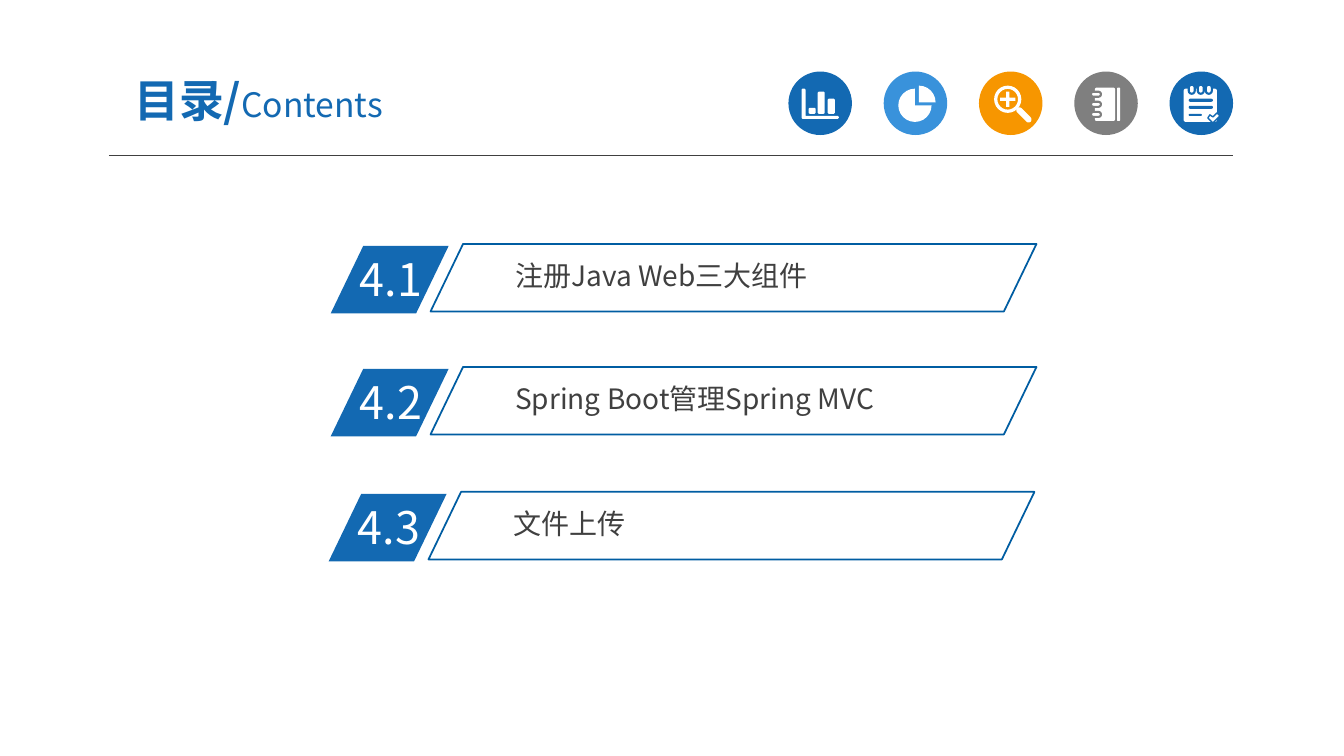
from lxml import etree
from pptx import Presentation
from pptx.dml.color import RGBColor
from pptx.enum.shapes import MSO_CONNECTOR, MSO_SHAPE as Preset
from pptx.enum.text import MSO_ANCHOR, MSO_AUTO_SIZE, PP_ALIGN
from pptx.oxml.ns import qn
from pptx.util import Inches, Pt

BLUE = RGBColor(0x13, 0x69, 0xB2)
LIGHT_BLUE = RGBColor(0x39, 0x92, 0xDB)
ORANGE = RGBColor(0xF7, 0x96, 0x00)
GRAY = RGBColor(0x7F, 0x7F, 0x7F)
WHITE = RGBColor(0xFF, 0xFF, 0xFF)
BORDER_BLUE = RGBColor(0x00, 0x5D, 0xA2)
TEXT_GRAY = RGBColor(0x40, 0x40, 0x40)
FONT = "Noto Sans CJK SC"

TITLE = [("目录/", 32, True), ("Contents", 24, False)]

# number, label, left of the tag, top of the frame
SECTIONS = [
    ("4.1", "注册Java Web三大组件", 3.28, 2.42),
    ("4.2", "Spring Boot管理Spring MVC", 3.28, 3.64),
    ("4.3", "文件上传", 3.26, 4.88),
]

BADGE_LEFT, BADGE_TOP, BADGE_SIZE, BADGE_PITCH = 7.82, 0.71, 0.63, 0.945
BADGES = [BLUE, LIGHT_BLUE, ORANGE, GRAY, BLUE]

# preset, (left, top, width, height), adjustments, rotation
ROUND = Preset.ROUNDED_RECTANGLE
GLYPHS = [
    # pie chart
    (Preset.PIE, (8.91, 0.88, 0.33, 0.33), [0, 162], 0),
    (Preset.PIE, (8.95, 0.85, 0.33, 0.33), [162, 0], 0),
    # magnifier
    (Preset.DONUT, (9.86, 0.85, 0.27, 0.27), [0.12], 0),
    (Preset.CROSS, (9.92, 0.91, 0.15, 0.15), [0.4], 0),
    (ROUND, (10.06, 1.11, 0.19, 0.06), [0.5], 45),
    # notebook
    (ROUND, (10.86, 0.87, 0.2, 0.33), [0.08], 0),
    (ROUND, (11.08, 0.87, 0.03, 0.33), [0.3], 0),
    # notepad
    (ROUND, (11.74, 0.88, 0.33, 0.33), [0.06], 0),
]
AXES = [(7.95, 0.89), (7.96, 0.88), (7.98, 0.88), (7.99, 0.89), (7.99, 1.15),
        (8.31, 1.15), (8.32, 1.16), (8.32, 1.17), (8.31, 1.18), (7.96, 1.18),
        (7.95, 1.17)]
BAR_TOPS = [(8.02, 1.07), (8.11, 0.91), (8.21, 0.98)]
BAR_WIDTH, BAR_BOTTOM, BAR_CORNER = 0.07, 1.13, 0.01
NOTEBOOK_RINGS = [(10.82, top, 0.1, 0.05) for top in (0.91, 1.01, 1.11)]
NOTEPAD_RINGS = [(left, 0.84, 0.06, 0.09) for left in (11.79, 11.88, 11.96)]
NOTEPAD_LINES = [(11.79, 0.98, 0.24, 0.03), (11.79, 1.05, 0.24, 0.03),
                 (11.79, 1.13, 0.13, 0.02)]
CHECK = [(11.98, 1.17), (12.0, 1.14), (12.03, 1.16), (12.07, 1.12),
         (12.1, 1.15), (12.03, 1.22)]


def inches(values):
    return [Inches(value) for value in values]


def paint(shape, fill=None, line=None, width=1.5):
    shape.shadow.inherit = False
    if fill is None:
        shape.fill.background()
    else:
        shape.fill.solid()
        shape.fill.fore_color.rgb = fill
    if line is None:
        shape.line.fill.background()
    else:
        shape.line.color.rgb = line
        shape.line.width = Pt(width)


def add_preset(page, preset, box, adjustments=(), fill=None, line=None, width=1.5):
    shape = page.shapes.add_shape(preset, *inches(box))
    for index, value in enumerate(adjustments):
        shape.adjustments[index] = value
    paint(shape, fill, line, width)
    return shape


def add_outline(page, contours):
    """Draw one freeform from closed lists of points."""
    first, *others = [[tuple(inches(point)) for point in contour] for contour in contours]
    builder = page.shapes.build_freeform(*first[0])
    builder.add_line_segments(first[1:], close=True)
    for contour in others:
        builder.move_to(*contour[0])
        builder.add_line_segments(contour[1:], close=True)
    return builder.convert_to_shape()


def bar_contour(left, top):
    right, bottom, cut = left + BAR_WIDTH, BAR_BOTTOM, BAR_CORNER
    return [(left, top + cut), (left + cut, top), (right - cut, top),
            (right, top + cut), (right, bottom - cut), (right - cut, bottom),
            (left + cut, bottom), (left, bottom - cut)]


def style(span, size, color, bold=False):
    span.font.name = FONT
    span.font.size = Pt(size)
    span.font.bold = bold
    span.font.color.rgb = color
    east_asian = etree.SubElement(span.font._element, qn("a:ea"))
    east_asian.set("typeface", FONT)


def set_margins(frame, side, end):
    frame.margin_left = frame.margin_right = Inches(side)
    frame.margin_top = frame.margin_bottom = Inches(end)


def add_text(page, text, box, size, color, side, end):
    frame = page.shapes.add_textbox(*inches(box)).text_frame
    frame.word_wrap = True
    frame.auto_size = MSO_AUTO_SIZE.SHAPE_TO_FIT_TEXT
    set_margins(frame, side, end)
    frame.text = text
    style(frame.paragraphs[0].runs[0], size, color)


def add_title(page):
    title = page.shapes.title
    title.left, title.top, title.width, title.height = inches((0.92, 0.63, 3.29, 0.72))
    frame = title.text_frame
    frame.word_wrap = True
    frame.auto_size = MSO_AUTO_SIZE.NONE
    frame.vertical_anchor = MSO_ANCHOR.MIDDLE
    set_margins(frame, 0.13, 0.07)
    para = frame.paragraphs[0]
    para.alignment = PP_ALIGN.CENTER
    for text, size, bold in TITLE:
        span = para.add_run()
        span.text = text
        style(span, size, BLUE, bold)


def add_rule(page):
    rule = page.shapes.add_connector(
        MSO_CONNECTOR.STRAIGHT, *inches((1.08, 1.54, 12.23, 1.54)))
    rule.line.color.rgb = TEXT_GRAY
    rule.line.width = Pt(0.75)
    etree.SubElement(rule._element.spPr, qn("a:effectLst"))


def add_icons(page):
    for index, color in enumerate(BADGES):
        left = BADGE_LEFT + index * BADGE_PITCH
        add_preset(page, Preset.OVAL, (left, BADGE_TOP, BADGE_SIZE, BADGE_SIZE), fill=color)
    bars = [bar_contour(left, top) for left, top in BAR_TOPS]
    paint(add_outline(page, [AXES] + bars), WHITE)
    for preset, box, adjustments, rotation in GLYPHS:
        add_preset(page, preset, box, adjustments, WHITE).rotation = rotation
    for rings, color in ((NOTEBOOK_RINGS, GRAY), (NOTEPAD_RINGS, BLUE)):
        for box in rings:
            add_preset(page, ROUND, box, [0.5], WHITE, color)
    for box in NOTEPAD_LINES:
        add_preset(page, ROUND, box, [0.5], BLUE)
    paint(add_outline(page, [CHECK]), WHITE, BLUE, 1)


def add_section(page, number, label, left, top):
    slant = [0.482]
    add_preset(page, Preset.PARALLELOGRAM, (left, top + 0.02, 1.17, 0.67), slant, BLUE)
    add_text(page, number, (left + 0.19, top + 0.03, 1.12, 0.64), 32, WHITE, 0.1, 0.05)
    add_preset(page, Preset.PARALLELOGRAM, (left + 0.99, top, 6.01, 0.67), slant,
               line=BORDER_BLUE, width=1.25)
    add_text(page, label, (left + 1.76, top + 0.1, 4.72, 0.41), 20, TEXT_GRAY, 0.07, 0.04)


def main():
    deck = Presentation()
    deck.slide_width, deck.slide_height = Inches(13.33), Inches(7.5)
    page = deck.slides.add_slide(deck.slide_layouts[5])
    add_rule(page)
    add_icons(page)
    add_title(page)
    for section in SECTIONS:
        add_section(page, *section)
    deck.save("out.pptx")


if __name__ == "__main__":
    main()
